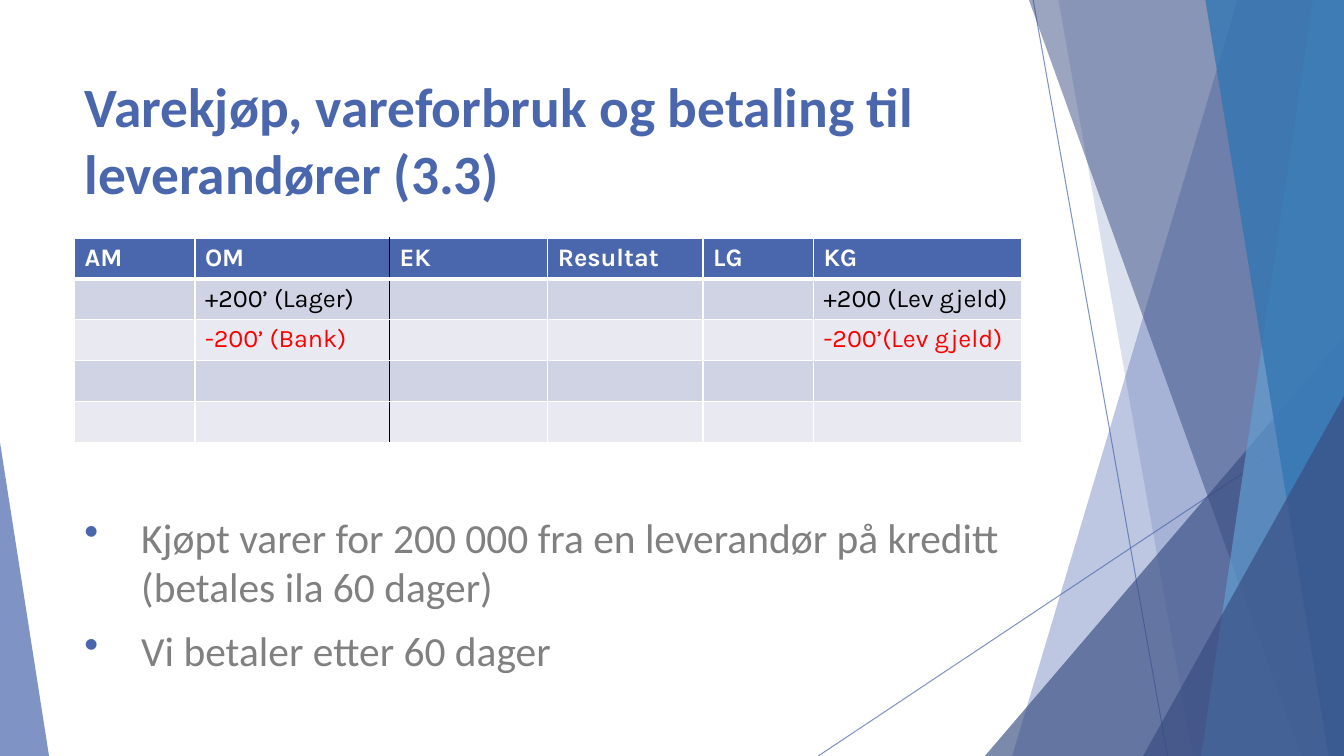
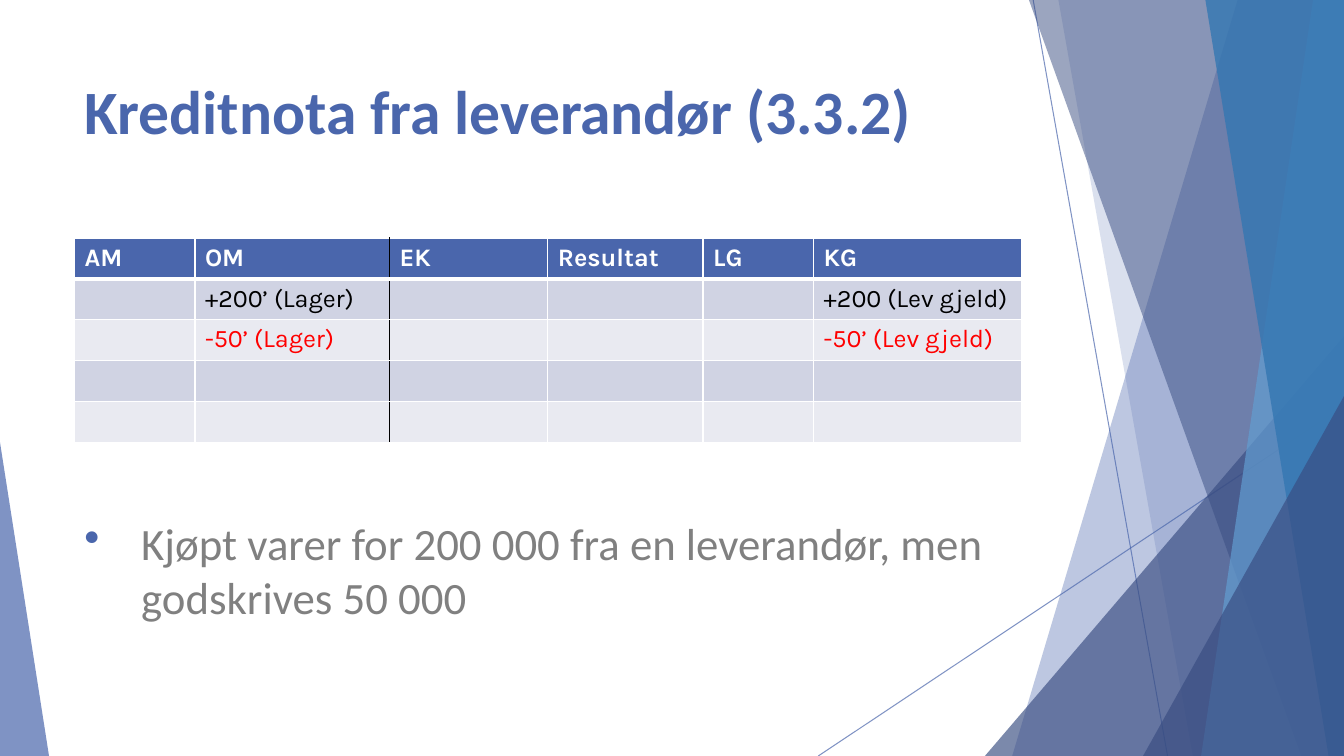
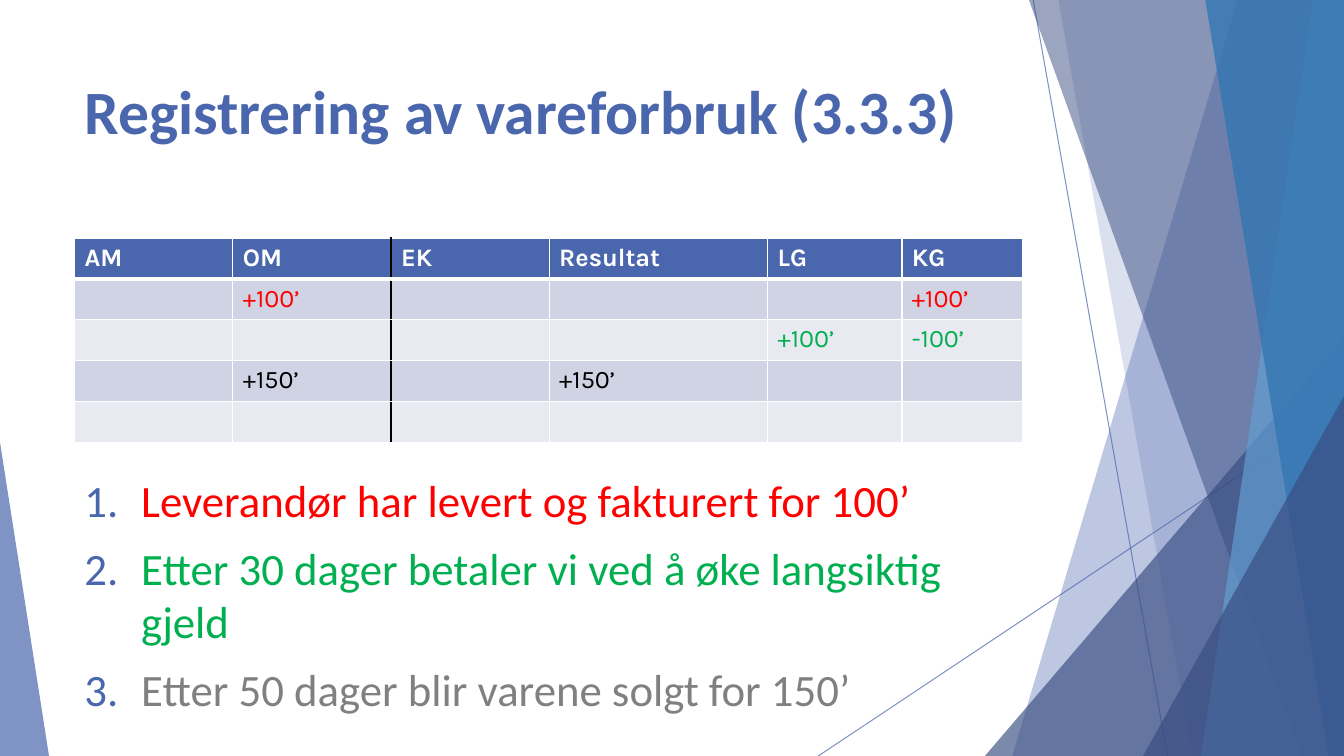
from lxml import etree
from pptx import Presentation
from pptx.dml.color import RGBColor
from pptx.enum.shapes import MSO_CONNECTOR, MSO_SHAPE
from pptx.oxml.ns import qn
from pptx.util import Pt

STRAIGHT = MSO_CONNECTOR.STRAIGHT
TRIANGLE = MSO_SHAPE.ISOSCELES_TRIANGLE

COLOURS = {
    "blue": "4A66AC", "navy": "384C81", "sky": "629DD1", "ocean": "3477B2",
    "white": "FFFFFF", "black": "000000", "grey": "808080",
    "red": "FF0000", "green": "00B050",
    "dark band": "D0D3E3", "light band": "E9EAF1",
}
RGB = {name: RGBColor.from_string(value) for name, value in COLOURS.items()}

WIDTH, HEIGHT = 960, 540
LEFT, CONTENT_WIDTH = 53.3, 676.9
TITLE_TOP, TITLE_HEIGHT = 48.2, 104
TABLE_TOP, ROW_HEIGHT, ROW_COUNT = 170, 29.2, 5
BULLET_INDENT = 40.5

HEADINGS = ["AM", "OM", "EK", "Resultat", "LG", "KG"]
DIVIDER = 2  # the black line stands left of this column

RAYS = [(738, 0, 834, 540), (960, 290, 584.5, 540)]
# A band runs from its top left x to its bottom left x and fills to the right edge.
# A triangle has left, top, width, height and the place of its tip (0 to 1).
FACETS = [
    ("band", (884, 723), "blue", 36),
    ("band", (756, 852), "blue", 20),
    ("triangle", (703.5, 240, 256.5, 300, 1), "navy", 66),
    ("band", (735, 929.5), "navy", 50),
    ("band", (938, 858), "sky", 70),
    ("band", (861, 949), "ocean", 80),
    ("triangle", (816.5, 283, 143.5, 257, 1), "navy", 66),
    ("triangle", (0, 316, 35, 224, 0), "blue", 70),
]

WIDE_ENDS = [86, 139, 113, 111, 79, 148.9]
WIDE_MIDDLE = [113, 113, 113, 156, 96, 85.9]
BULLET = ("a:buChar", {"char": "•"})
NUMBER = ("a:buAutoNum", {"type": "arabicPeriod"})

SLIDES = [
    {
        "title": "Varekjøp, vareforbruk og betaling til leverandører (3.3)",
        "title size": 39.6,
        "columns": WIDE_ENDS,
        "entries": {
            (1, 1): ("+200’ (Lager)", "black"), (1, 5): ("+200 (Lev gjeld)", "black"),
            (2, 1): ("-200’ (Bank)", "red"), (2, 5): ("-200’(Lev gjeld)", "red"),
        },
        "body top": 362, "body size": 29.6, "marker": BULLET,
        "body": [
            ("Kjøpt varer for 200 000 fra en leverandør på kreditt (betales ila 60 dager)", "grey"),
            ("Vi betaler etter 60 dager", "grey"),
        ],
    },
    {
        "title": "Kreditnota fra leverandør (3.3.2)",
        "title size": 44,
        "columns": WIDE_ENDS,
        "entries": {
            (1, 1): ("+200’ (Lager)", "black"), (1, 5): ("+200 (Lev gjeld)", "black"),
            (2, 1): ("-50’ (Lager)", "red"), (2, 5): ("-50’ (Lev gjeld)", "red"),
        },
        "body top": 365, "body size": 32, "marker": BULLET,
        "body": [
            ("Kjøpt varer for 200 000 fra en leverandør, men godskrives 50 000", "grey"),
        ],
    },
    {
        "title": "Registrering av vareforbruk (3.3.3)",
        "title size": 44,
        "columns": WIDE_MIDDLE,
        "entries": {
            (1, 1): ("+100’", "red"), (1, 5): ("+100’", "red"),
            (2, 4): ("+100’", "green"), (2, 5): ("-100’", "green"),
            (3, 1): ("+150’", "black"), (3, 3): ("+150’", "black"),
        },
        "body top": 334, "body size": 32, "marker": NUMBER,
        "body": [
            ("Leverandør har levert og fakturert for 100’", "red"),
            ("Etter 30 dager betaler vi ved å øke langsiktig gjeld", "green"),
            ("Etter 50 dager blir varene solgt for 150’", "grey"),
        ],
    },
]


def set_opacity(shape, percent):
    """Make the shape's one RGB colour, of fill or line, partly transparent."""
    for colour in shape._element.iter(qn("a:srgbClr")):
        etree.SubElement(colour, qn("a:alpha"), val=str(percent * 1000))


def write(paragraph, text, font_name, size, colour, bold=False):
    paragraph.text = text
    font = paragraph.font
    font.name, font.size, font.bold = font_name, Pt(size), bold
    font.color.rgb = RGB[colour]


presentation = Presentation()
presentation.slide_width, presentation.slide_height = Pt(WIDTH), Pt(HEIGHT)

for content in SLIDES:
    slide = presentation.slides.add_slide(presentation.slide_layouts[6])
    shapes = slide.shapes

    # Backdrop
    for ray in RAYS:
        connector = shapes.add_connector(STRAIGHT, *map(Pt, ray))
        connector.line.color.rgb = RGB["blue"]
        connector.line.width = Pt(0.75)
        etree.SubElement(connector._element.spPr, qn("a:effectLst"))
        set_opacity(connector, 70)
    for kind, outline, colour, opacity in FACETS:
        if kind == "band":
            top_x, bottom_x = outline
            builder = shapes.build_freeform(Pt(top_x), 0)
            corners = [(WIDTH, 0), (WIDTH, HEIGHT), (bottom_x, HEIGHT)]
            builder.add_line_segments([(Pt(x), Pt(y)) for x, y in corners])
            facet = builder.convert_to_shape()
        else:
            *box, tip = outline
            facet = shapes.add_shape(TRIANGLE, *map(Pt, box))
            facet.adjustments[0] = tip
        facet.shadow.inherit = False
        facet.fill.solid()
        facet.fill.fore_color.rgb = RGB[colour]
        facet.line.fill.background()
        set_opacity(facet, opacity)

    # Title
    title = shapes.add_textbox(Pt(LEFT), Pt(TITLE_TOP), Pt(CONTENT_WIDTH), Pt(TITLE_HEIGHT))
    title.text_frame.word_wrap = True
    write(title.text_frame.paragraphs[0], content["title"], "Calibri",
          content["title size"], "blue", bold=True)

    # Table
    table = shapes.add_table(
        ROW_COUNT, len(HEADINGS), Pt(LEFT), Pt(TABLE_TOP),
        Pt(CONTENT_WIDTH), Pt(ROW_HEIGHT * ROW_COUNT)).table
    for column, width in zip(table.columns, content["columns"]):
        column.width = Pt(width)
    entries = {(0, i): (heading, "white") for i, heading in enumerate(HEADINGS)}
    entries.update(content["entries"])
    for row_index, row in enumerate(table.rows):
        row.height = Pt(ROW_HEIGHT)
        for column_index, cell in enumerate(row.cells):
            borders = {
                "a:lnL": ("black" if column_index == DIVIDER else "white", 1),
                "a:lnR": ("black" if column_index == DIVIDER - 1 else "white", 1),
                "a:lnT": ("white", 3 if row_index == 1 else 1),
                "a:lnB": ("white", 3 if row_index == 0 else 1),
            }
            properties = cell._tc.get_or_add_tcPr()
            for side, (colour, width) in borders.items():
                border = etree.SubElement(properties, qn(side), w=str(Pt(width)))
                fill = etree.SubElement(border, qn("a:solidFill"))
                etree.SubElement(fill, qn("a:srgbClr"), val=COLOURS[colour])
            cell.fill.solid()
            band = "dark band" if row_index % 2 else "light band"
            cell.fill.fore_color.rgb = RGB["blue" if row_index == 0 else band]
            if (row_index, column_index) in entries:
                text, colour = entries[row_index, column_index]
                write(cell.text_frame.paragraphs[0], text, "Karla", 18, colour,
                      bold=row_index == 0)

    # Body list
    top = content["body top"]
    body = shapes.add_textbox(Pt(LEFT), Pt(top), Pt(CONTENT_WIDTH), Pt(HEIGHT - top))
    frame = body.text_frame
    frame.word_wrap = True
    for index, (text, colour) in enumerate(content["body"]):
        paragraph = frame.add_paragraph() if index else frame.paragraphs[0]
        paragraph.space_before = Pt(10)
        properties = paragraph._p.get_or_add_pPr()
        properties.set("marL", str(Pt(BULLET_INDENT)))
        properties.set("indent", str(-Pt(BULLET_INDENT)))
        bullet_colour = etree.SubElement(properties, qn("a:buClr"))
        etree.SubElement(bullet_colour, qn("a:srgbClr"), val=COLOURS["blue"])
        tag, attributes = content["marker"]
        etree.SubElement(properties, qn(tag), attributes)
        write(paragraph, text, "Calibri", content["body size"], colour)

presentation.save("out.pptx")
